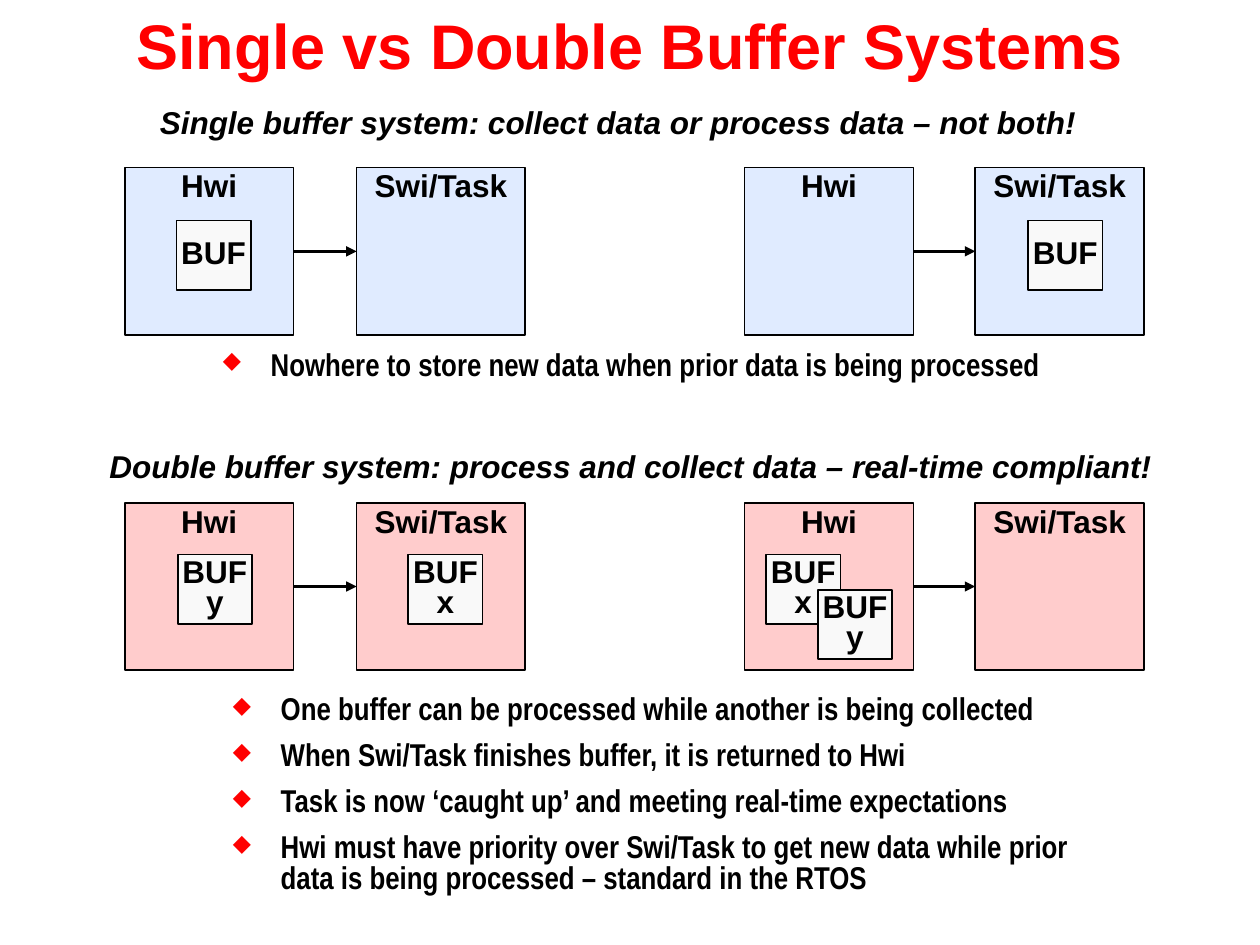
from pptx import Presentation
from pptx import util as u
from pptx.dml.color import RGBColor
from pptx.enum import shapes, text
from pptx.oxml.ns import qn
from lxml import etree

COLORS = {
    "ink": "000000",
    "accent": "FF0000",
    "single": "E0EBFF",
    "double": "FFCCCC",
    "buffer": "F9F9F9",
}
STAGE_WIDTH, STAGE_HEIGHT = 1.34, 1.33
BUFFER_WIDTH, BUFFER_HEIGHT = 0.59, 0.55
STAGE_PAIRS = [(0.99, 2.83), (5.91, 7.74)]


def color(name):
    return RGBColor.from_string(COLORS[name])


def style_paragraph(paragraph, size=18, font="Arial", ink="ink", italic=False,
                    align=text.PP_ALIGN.LEFT, spacing=0.8, before=9):
    paragraph.alignment = align
    paragraph.line_spacing = spacing
    paragraph.space_before = u.Pt(before)
    paragraph.font.size = u.Pt(size)
    paragraph.font.name = font
    paragraph.font.bold = True
    paragraph.font.italic = italic
    paragraph.font.color.rgb = color(ink)


def add_bullet(paragraph):
    properties = paragraph._p.get_or_add_pPr()
    properties.set("marL", str(u.Inches(0.38)))
    properties.set("indent", str(-u.Inches(0.38)))
    tint = etree.Element(qn("a:buClr"))
    etree.SubElement(tint, qn("a:srgbClr"), val=COLORS["accent"])
    size = etree.Element(qn("a:buSzPct"), val="75000")
    mark = etree.Element(qn("a:buChar"), char="◆")
    position = len(properties.findall(qn("a:lnSpc")) + properties.findall(qn("a:spcBef")))
    for offset, element in enumerate((tint, size, mark)):
        properties.insert(position + offset, element)


def add_text_box(slide, left, top, width, height, wrap=True):
    box = slide.shapes.add_textbox(*map(u.Inches, (left, top, width, height)))
    box.text_frame.word_wrap = wrap
    return box.text_frame


def add_title(slide, words):
    frame = add_text_box(slide, 0, 0, 10, 0.81)
    frame.vertical_anchor = text.MSO_ANCHOR.TOP
    paragraph = frame.paragraphs[0]
    paragraph.text = words
    style_paragraph(paragraph, size=36, ink="accent", align=text.PP_ALIGN.CENTER,
                    spacing=1.0, before=0)


def add_heading(slide, left, top, width, words):
    frame = add_text_box(slide, left, top, width, 0.34, wrap=False)
    frame.auto_size = text.MSO_AUTO_SIZE.SHAPE_TO_FIT_TEXT
    paragraph = frame.paragraphs[0]
    paragraph.text = words
    style_paragraph(paragraph, italic=True)


def add_bullets(slide, left, top, width, height, items, spacing=0.8):
    frame = add_text_box(slide, left, top, width, height)
    frame.auto_size = text.MSO_AUTO_SIZE.SHAPE_TO_FIT_TEXT
    for index, words in enumerate(items):
        paragraph = frame.add_paragraph() if index else frame.paragraphs[0]
        paragraph.text = words
        style_paragraph(paragraph, font="Arial Narrow", spacing=spacing)
        add_bullet(paragraph)


def add_block(slide, left, top, width, height, fill, label, anchor):
    block = slide.shapes.add_shape(shapes.MSO_SHAPE.RECTANGLE,
                                   *map(u.Inches, (left, top, width, height)))
    block.shadow.inherit = False
    block.fill.solid()
    block.fill.fore_color.rgb = color(fill)
    block.line.color.rgb = color("ink")
    block.line.width = u.Pt(1)
    frame = block.text_frame
    frame.word_wrap = False
    frame.vertical_anchor = anchor
    paragraph = frame.paragraphs[0]
    paragraph.text = label
    style_paragraph(paragraph, align=text.PP_ALIGN.CENTER)


def add_arrow(slide, start, end, y):
    arrow = slide.shapes.add_connector(shapes.MSO_CONNECTOR.STRAIGHT,
                                       *map(u.Inches, (start, y, end, y)))
    arrow.line.color.rgb = color("ink")
    arrow.line.width = u.Pt(1.5)
    etree.SubElement(arrow.line._get_or_add_ln(), qn("a:tailEnd"), type="triangle")
    etree.SubElement(arrow._element.spPr, qn("a:effectLst"))


def add_system(slide, top, fill, buffers):
    for hwi_left, task_left in STAGE_PAIRS:
        for left, label in ((hwi_left, "Hwi"), (task_left, "Swi/Task")):
            add_block(slide, left, top, STAGE_WIDTH, STAGE_HEIGHT, fill, label,
                      text.MSO_ANCHOR.TOP)
        add_arrow(slide, hwi_left + STAGE_WIDTH, task_left, top + STAGE_HEIGHT / 2)
    for left, buffer_top, label in buffers:
        add_block(slide, left, buffer_top, BUFFER_WIDTH, BUFFER_HEIGHT, "buffer", label,
                  text.MSO_ANCHOR.MIDDLE)


def main():
    deck = Presentation()
    deck.slide_width, deck.slide_height = u.Inches(10), u.Inches(7.5)
    slide = deck.slides.add_slide(deck.slide_layouts[6])

    add_title(slide, "Single vs Double Buffer Systems")

    add_heading(slide, 1.17, 0.83, 7.48,
                "Single buffer system: collect data or process data – not both!")
    add_system(slide, 1.33, "single", [(1.4, 1.75, "BUF"), (8.16, 1.75, "BUF")])
    add_bullets(slide, 1.67, 2.77, 6.75, 0.31,
                ["Nowhere to store new data when prior data is being processed"],
                spacing=0.7)

    add_heading(slide, 0.77, 3.56, 8.48,
                "Double buffer system: process and collect data – real-time compliant!")
    add_system(slide, 3.99, "double", [
        (1.41, 4.4, "BUF\vy"),
        (3.24, 4.4, "BUF\vx"),
        (6.08, 4.4, "BUF\vx"),
        (6.49, 4.68, "BUF\vy"),
    ])
    add_bullets(slide, 1.75, 5.48, 7, 1.75, [
        "One buffer can be processed while another is being collected",
        "When Swi/Task finishes buffer, it is returned to Hwi",
        "Task is now ‘caught up’ and meeting real-time expectations",
        "Hwi must have priority over Swi/Task to get new data while prior \v"
        "data is being processed – standard in the RTOS",
    ])

    deck.save("out.pptx")


if __name__ == "__main__":
    main()
